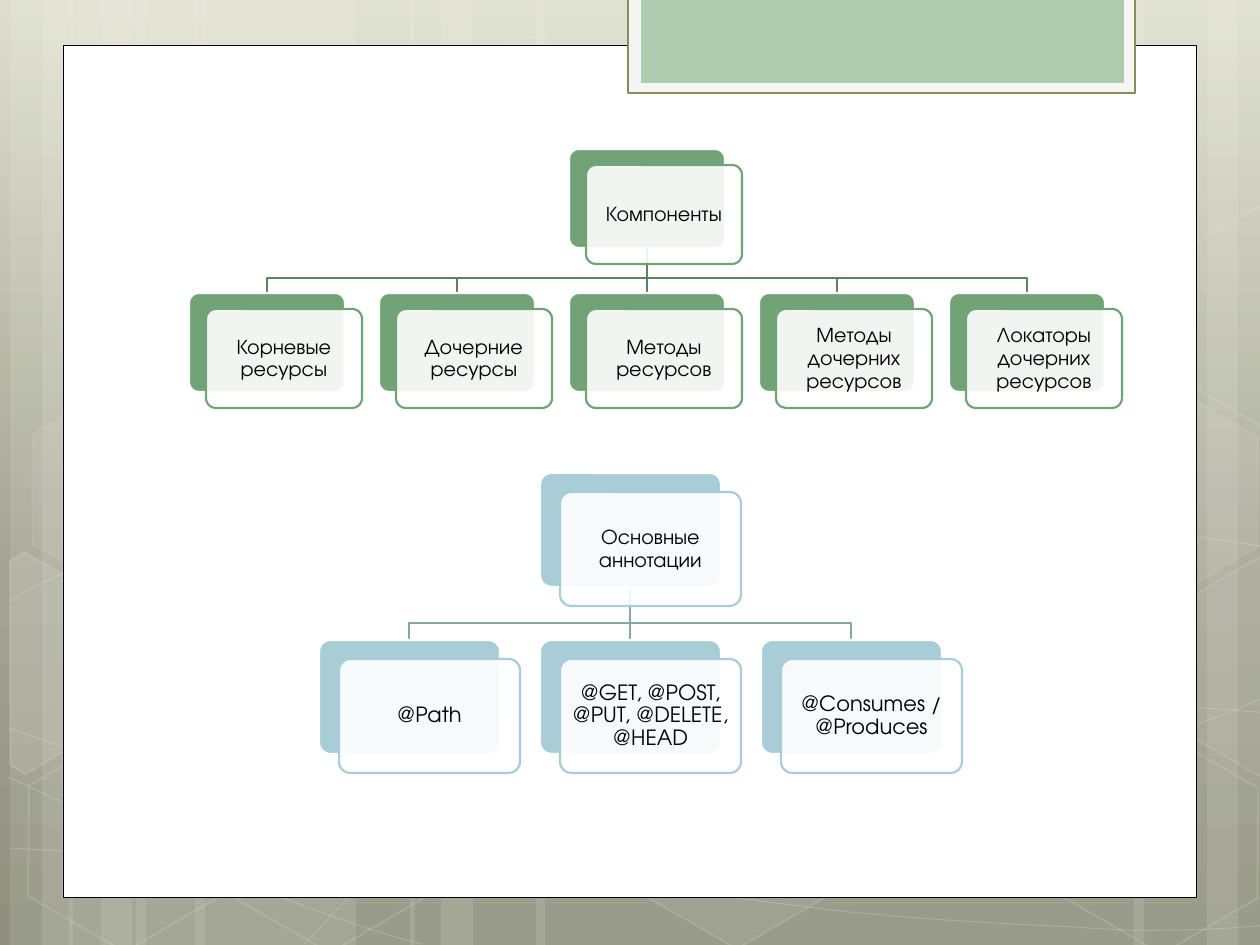
"""Build a slide with two hierarchy diagrams on a patterned backdrop."""
import math
from copy import deepcopy
from pptx import Presentation
from pptx import util as u
from pptx.dml.color import RGBColor
from pptx.enum import shapes, text
from pptx.oxml.ns import qn
from lxml import etree

PX = 914400 / 126
FONT = "TeX Gyre Adventor"
C = {
    "white": "FFFFFF", "black": "000000", "frame": "F5F5F5", "olive": "8A8E56",
    "tab": "B0CCB0", "green": "72A376", "green_link": "5B835E",
    "blue": "A8CDD7", "blue_link": "87A4AC",
    "sky": "DDDFCC", "sage": "A2A391", "moss": "8F917E",
}
COLUMNS = [(136, 220), (10, 63), (42, 104), (195, 220), (69, 63), (101, 104),
           (924, 220), (1207, 63), (1134, 104), (536, 388), (410, 63), (441, 104)]
CURVES = [
    [(9, 848), (77, 852), (145, 855), (239, 854), (334, 853), (451, 851), (577, 838),
     (703, 825), (882, 801), (998, 777), (1113, 753), (1231, 717), (1269, 694)],
    [(9, 601), (45, 581), (82, 562), (152, 543), (224, 524), (326, 496), (437, 488),
     (549, 479), (685, 478), (824, 488), (963, 498), (1193, 537), (1269, 547)],
    [(8, 777), (160, 847), (311, 916), (421, 944)],
    [(9, 728), (48, 742), (88, 756), (161, 776), (234, 795), (344, 827), (450, 848),
     (554, 869), (687, 892), (791, 905), (896, 919), (1008, 924), (1075, 927),
     (1140, 932), (1158, 930), (1191, 930), (1223, 929), (1246, 927), (1269, 925)],
    [(305, 944), (328, 919), (350, 893), (381, 871), (414, 848), (454, 822), (489, 805),
     (524, 788), (546, 780), (592, 767), (638, 754), (722, 737), (766, 728),
     (811, 719), (818, 719), (857, 717), (896, 714), (958, 709), (1000, 708),
     (1045, 707), (1116, 708), (1116, 708), (1144, 708), (1173, 708), (1201, 708),
     (1223, 709), (1245, 711), (1268, 713)],
]
HEXAGONS = [(421, 45, 4, 8), (626, 742, 6, 12), (14, 745, 0, 12), (18, 393, 7, 8),
            (219, 746, 0, 12), (1051, 747, 0, 12), (1051, 396, 7, 8)]
LEFT_EDGE = [(10, 561), (24, 552), (121, 607), (120, 718), (25, 774), (10, 765)]
RIGHT_EDGE = [(1167, 611), (1261, 556), (1271, 562), (1271, 772), (1263, 777), (1167, 722)]


def px(n):
    return u.Emu(round(n * PX))


def rgb(name):
    return RGBColor.from_string(C[name])


def set_alpha(parent, percent):
    color = parent.find(qn("a:solidFill"))[0]
    etree.SubElement(color, qn("a:alpha")).set("val", str(percent * 1000))


def paint(sp, fill=None, line=None, width=1.25, alpha=100, line_alpha=100):
    sp.shadow.inherit = False
    pr = sp._element.spPr
    if fill:
        sp.fill.solid()
        sp.fill.fore_color.rgb = rgb(fill)
        if alpha < 100:
            set_alpha(pr, alpha)
    else:
        sp.fill.background()
    if line:
        sp.line.color.rgb = rgb(line)
        sp.line.width = u.Pt(width)
        if line_alpha < 100:
            set_alpha(pr.find(qn("a:ln")), line_alpha)
    else:
        sp.line.fill.background()


def add_box(s, kind, x, y, w, h, **look):
    sp = s.shapes.add_shape(kind, px(x), px(y), px(w), px(h))
    paint(sp, **look)
    return sp


def add_path(s, points, close=False, **look):
    builder = s.shapes.build_freeform(*points[0], scale=PX)
    builder.add_line_segments(points[1:], close=close)
    sp = builder.convert_to_shape()
    paint(sp, **look)
    return sp


def add_curve(s, points, **look):
    sp = add_path(s, points, **look)
    lines = list(sp._element.spPr.iter(qn("a:lnTo")))
    for i in range(0, len(lines), 3):
        curve = etree.Element(qn("a:cubicBezTo"))
        lines[i].addprevious(curve)
        for line in lines[i:i + 3]:
            curve.append(line[0])
            line.getparent().remove(line)


def add_tilted(s, points, cx, cy, degrees=30, **look):
    cos, sin = math.cos(math.radians(degrees)), math.sin(math.radians(degrees))
    upright = [(round(cx + (x - cx) * cos + (y - cy) * sin),
                round(cy - (x - cx) * sin + (y - cy) * cos)) for x, y in points]
    add_path(s, upright, close=True, **look).rotation = degrees


def add_link(s, x, y0, y1, color):
    link = s.shapes.add_connector(shapes.MSO_CONNECTOR.STRAIGHT, px(x), px(y0), px(x), px(y1))
    link.line.color.rgb = rgb(color)
    link.line.width = u.Pt(1.25)
    etree.SubElement(link._element.spPr, qn("a:effectLst"))


def add_text(s, x, y, w, h, words, size=12, color="black", inset=6):
    tf = s.shapes.add_textbox(px(x), px(y), px(w), px(h)).text_frame
    tf.word_wrap = True
    tf.vertical_anchor = text.MSO_ANCHOR.MIDDLE
    tf.margin_left = tf.margin_right = tf.margin_top = tf.margin_bottom = px(inset)
    p = tf.paragraphs[0]
    p.alignment = text.PP_ALIGN.CENTER
    p.line_spacing = 0.9
    r = p.add_run()
    r.text = words
    r.font.size, r.font.name = u.Pt(size), FONT
    r.font.color.rgb = rgb(color)


def add_background(s):
    fill = s.background.fill
    fill.gradient()
    fill.gradient_angle = 270
    first, last = fill.gradient_stops
    first.color.rgb, first.position = rgb("sky"), 0
    last.color.rgb, last.position = rgb("moss"), 1
    stops = s.background._cSld.find(".//" + qn("a:gsLst"))
    middle = deepcopy(stops[0])
    middle.set("pos", "62000")
    middle[0].set("val", C["sage"])
    stops.insert(1, middle)


def add_backdrop(s):
    for x, w in COLUMNS:
        add_box(s, shapes.MSO_SHAPE.RECTANGLE, x, 0, w, 945, fill="white", alpha=10)
    for curve in CURVES:
        add_curve(s, curve, line="white", width=0.5, line_alpha=20)
    for x, y, alpha, line_alpha in HEXAGONS:
        sp = add_box(s, shapes.MSO_SHAPE.HEXAGON, x, y, 221, 192, fill="white" if alpha else None,
                     alpha=alpha, line="white", width=1, line_alpha=line_alpha)
        sp.adjustments[0] = 0.285
        sp.rotation = 30
    upper_edge = [(x, y - 351) for x, y in RIGHT_EDGE]
    for points, cx, cy, alpha in ((LEFT_EDGE, 45, 674, 10), (RIGHT_EDGE, 1241, 655, 4),
                                  (upper_edge, 1241, 304, 0)):
        add_tilted(s, points, cx, cy, fill="white" if alpha else None, alpha=alpha,
                   line="white", width=1, line_alpha=12)


def add_panel(s):
    rect = shapes.MSO_SHAPE.RECTANGLE
    add_box(s, rect, 63, 45, 1134, 853, fill="white", line="black", width=0.5)
    add_box(s, rect, 628, -3, 507, 96, fill="frame", line="olive")
    add_box(s, rect, 641, -3, 483, 86, fill="tab")


def add_card(s, x, y, w, h, words, color):
    kind = shapes.MSO_SHAPE.ROUNDED_RECTANGLE
    shift = round(w * 0.11)
    left, top = x + shift, y + shift - 1
    back = add_box(s, kind, x, y, w, h, fill=color, line="white")
    front = add_box(s, kind, left, top, w, h, fill="white", alpha=90, line=color)
    back.adjustments[0] = front.adjustments[0] = 0.1
    add_text(s, left + 3, top + 3, w - 6, h - 6, words)


def add_tree(s, x, y, w, h, pitch, drop, root, children, color):
    middle, top, bottom = x + w // 2, y + h, y + drop
    bend = bottom - round(h * 0.15)
    offsets = [(i - len(children) // 2) * pitch for i in range(len(children))]
    for dx in reversed(offsets):
        if dx:
            add_path(s, [(middle, top), (middle, bend), (middle + dx, bend), (middle + dx, bottom)],
                     line=color + "_link")
        else:
            add_link(s, middle, top, bottom, color + "_link")
    add_card(s, x, y, w, h, root, color)
    for dx, words in zip(offsets, children):
        add_card(s, x + dx, bottom, w, h, words, color)


def main():
    prs = Presentation()
    prs.slide_width, prs.slide_height = px(1260), px(945)
    s = prs.slides.add_slide(prs.slide_layouts[6])
    add_background(s)
    add_backdrop(s)
    add_panel(s)
    add_tree(s, 569, 149, 156, 99, 190, 144, "Компоненты",
             ["Корневые ресурсы", "Дочерние ресурсы", "Методы ресурсов",
              "Методы дочерних ресурсов", "Локаторы дочерних ресурсов"], "green")
    add_tree(s, 540, 473, 181, 114, 221, 167, "Основные аннотации",
             ["@Path", "@GET, @POST, @PUT, @DELETE, @HEAD", "@Consumes / @Produces"], "blue")
    prs.save("out.pptx")


main()
